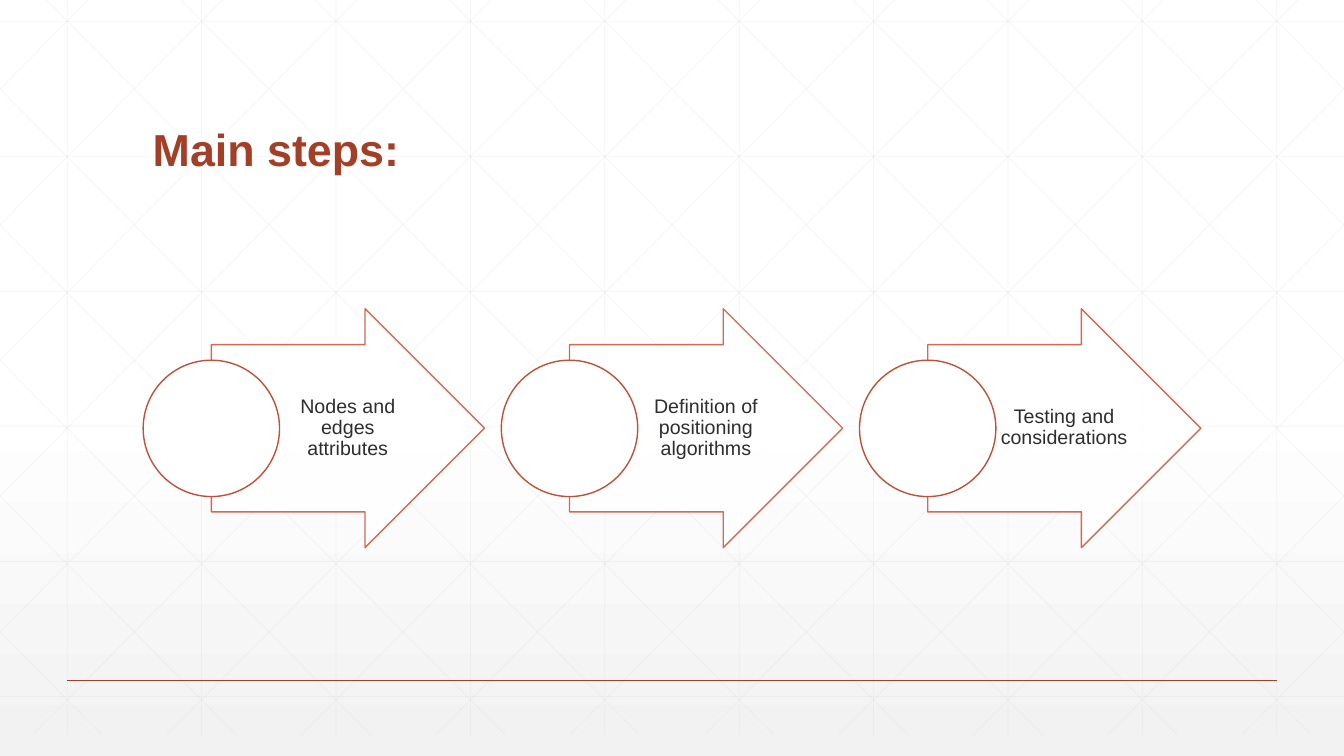
"""Build the "Main steps" slide: three arrows in a row over a faint line lattice."""
from copy import deepcopy
from dataclasses import dataclass

from pptx import Presentation
from pptx import util as u
from pptx.dml.color import RGBColor
from pptx.enum import shapes, text
from pptx.oxml.ns import qn
from lxml import etree

COLORS = {"white": "FFFFFF", "shade": "F2F2F2", "lattice": "D9D9D9", "accent": "A43F27",
          "arrow": "D15A3E", "circle": "BE5238", "body": "2D2E2D"}
FONT = "Arial"
COLS, ROWS = 40, 22.5
UNIT = u.Inches(13.333) / COLS
LATTICE_BOTTOM = 21.87
SLANT = 0.99
STEP_PITCH = 10.66


@dataclass(frozen=True)
class Box:
    x: float
    y: float
    w: float
    h: float

    def shifted(self, dx: float) -> "Box":
        return Box(self.x + dx, self.y, self.w, self.h)

    def emu(self) -> list[int]:
        return [grid(v) for v in (self.x, self.y, self.w, self.h)]


@dataclass(frozen=True)
class Line:
    x1: float
    y1: float
    x2: float
    y2: float

    def mirrored(self) -> "Line":
        return Line(COLS - self.x1, self.y1, COLS - self.x2, self.y2)


@dataclass(frozen=True)
class Pen:
    color: str
    width: float = 1
    opacity: int = 100


@dataclass(frozen=True)
class Style:
    size: int
    color: str
    bold: bool
    align: text.PP_ALIGN
    anchor: text.MSO_ANCHOR
    insets: tuple[float, float, float, float]


TITLE = Box(4.25, 1.65, 31.5, 3.75)
ARROW = Box(6.29, 9.19, 8.13, 7.11)
LABEL = Box(8.34, 10.25, 3.96, 4.98)
CIRCLE = Box(4.26, 10.72, 4.06, 4.06)
STEPS = ["Nodes and edges attributes", "Definition of positioning algorithms",
         "Testing and considerations"]
TITLE_STYLE = Style(32, "accent", True, text.PP_ALIGN.LEFT, text.MSO_ANCHOR.BOTTOM,
                    (0.1, 0.05, 0.1, 0.05))
LABEL_STYLE = Style(14, "body", False, text.PP_ALIGN.CENTER, text.MSO_ANCHOR.MIDDLE,
                    (0.04, 0.01, 0.02, 0.01))


def grid(value: float) -> int:
    return round(value * UNIT)


def rgb(name: str) -> RGBColor:
    return RGBColor.from_string(COLORS[name])


def set_opacity(parent, percent: int) -> None:
    if percent < 100:
        clr = next(parent.iter(qn("a:srgbClr")))
        etree.SubElement(clr, qn("a:alpha")).set("val", str(percent * 1000))


def draw_outline(line, pen: Pen) -> None:
    line.color.rgb = rgb(pen.color)
    line.width = u.Pt(pen.width)
    set_opacity(line.fill._xPr, pen.opacity)


def add_line(s, line: Line, pen: Pen) -> None:
    ends = (grid(v) for v in (line.x1, line.y1, line.x2, line.y2))
    sp = s.shapes.add_connector(shapes.MSO_CONNECTOR.STRAIGHT, *ends)
    draw_outline(sp.line, pen)
    etree.SubElement(sp._element.spPr, qn("a:effectLst"))


def add_shape(s, kind: shapes.MSO_SHAPE, box: Box, pen: Pen, opacity: int = 100):
    sp = s.shapes.add_shape(kind, *box.emu())
    sp.shadow.inherit = False
    sp.fill.solid()
    sp.fill.fore_color.rgb = rgb("white")
    set_opacity(sp._element.spPr.find(qn("a:solidFill")), opacity)
    draw_outline(sp.line, pen)
    return sp


def add_text(s, box: Box, words: str, style: Style) -> None:
    tf = s.shapes.add_textbox(*box.emu()).text_frame
    tf.word_wrap = True
    tf.vertical_anchor = style.anchor
    tf.margin_left, tf.margin_top, tf.margin_right, tf.margin_bottom = map(u.Inches, style.insets)
    p = tf.paragraphs[0]
    p.text = words
    p.alignment = style.align
    p.line_spacing = 0.9
    p.font.name = FONT
    p.font.size = u.Pt(style.size)
    p.font.bold = style.bold
    p.font.color.rgb = rgb(style.color)


def paint_background(s) -> None:
    fill = s.background.fill
    fill.gradient()
    fill.gradient_angle = 270
    first, last = fill.gradient_stops
    first.color.rgb, last.color.rgb = rgb("white"), rgb("shade")
    first.position, last.position = 0, 1
    middle = deepcopy(first._gs)
    middle.set("pos", "53000")
    first._gs.addnext(middle)


def diagonal(top_x: float) -> Line:
    y1 = max(0, -top_x / SLANT)
    y2 = min(LATTICE_BOTTOM, (COLS - top_x) / SLANT)
    return Line(top_x + SLANT * y1, y1, top_x + SLANT * y2, y2)


def lattice() -> list[Line]:
    verticals = [Line(2 + 4 * i, 0, 2 + 4 * i, LATTICE_BOTTOM) for i in range(10)]
    rows = [0.63 + 4.02 * i for i in range(6)]
    falling = [diagonal(1.38 + 4 * i) for i in range(-5, 10)]
    return (verticals + [Line(0, y, COLS, y) for y in rows]
            + falling + [line.mirrored() for line in falling])


def add_step(s, index: int, words: str) -> None:
    dx = index * STEP_PITCH
    sp = add_shape(s, shapes.MSO_SHAPE.RIGHT_ARROW, ARROW.shifted(dx), Pen("arrow", 1, 90), 90)
    sp.adjustments[0], sp.adjustments[1] = 0.7, 0.5
    add_text(s, LABEL.shifted(dx), words, LABEL_STYLE)
    add_shape(s, shapes.MSO_SHAPE.OVAL, CIRCLE.shifted(dx), Pen("circle"))


def main() -> None:
    prs = Presentation()
    prs.slide_width, prs.slide_height = grid(COLS), grid(ROWS)
    s = prs.slides.add_slide(prs.slide_layouts[6])
    paint_background(s)
    for line in lattice():
        add_line(s, line, Pen("lattice", 0.5, 25))
    add_line(s, Line(2, 20.25, 38, 20.25), Pen("accent"))
    add_text(s, TITLE, "Main steps:", TITLE_STYLE)
    for index, words in enumerate(STEPS):
        add_step(s, index, words)
    prs.save("out.pptx")


if __name__ == "__main__":
    main()
